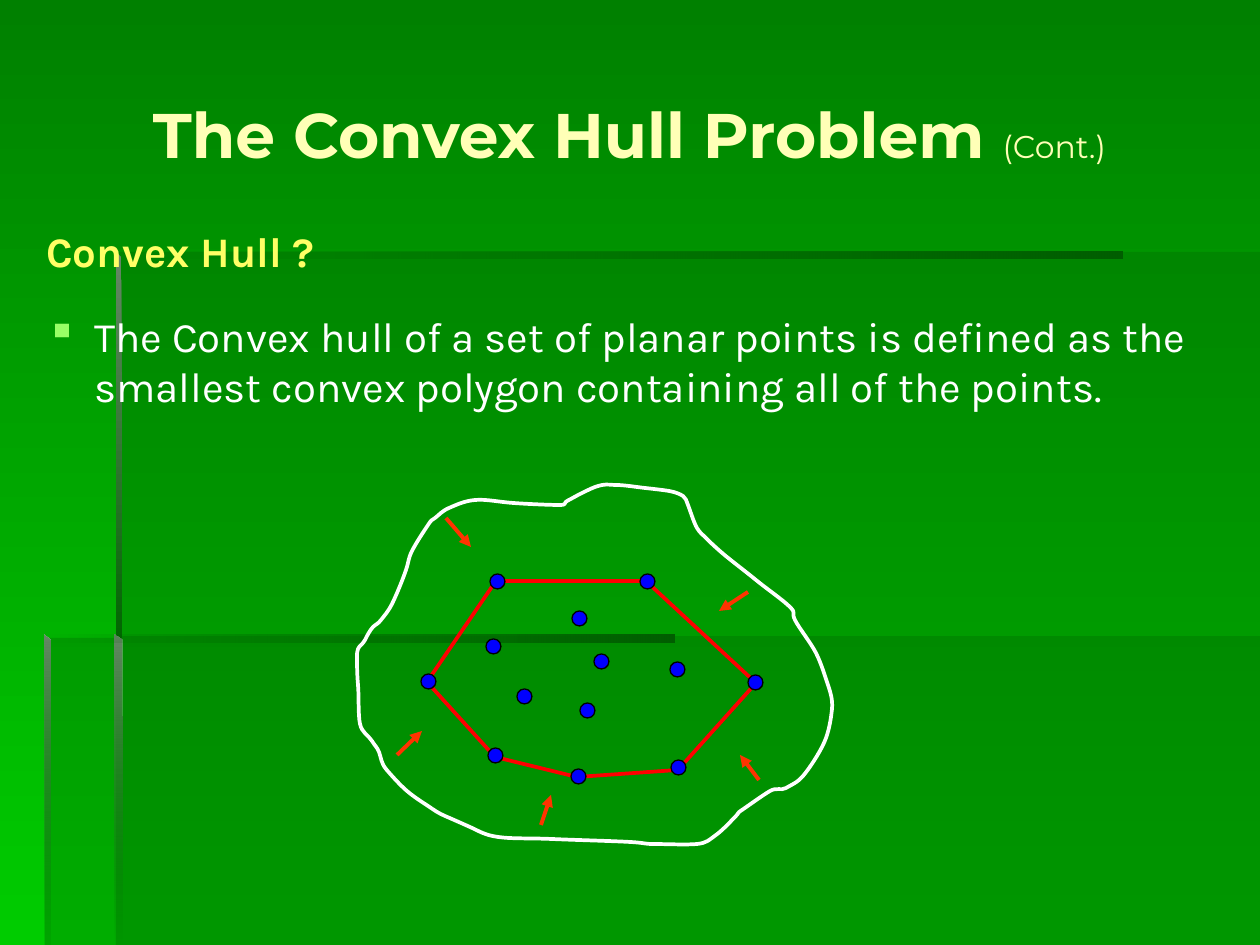
from dataclasses import dataclass

from lxml import etree
from pptx import Presentation
from pptx.dml.color import RGBColor
from pptx.enum.shapes import MSO_CONNECTOR, MSO_SHAPE
from pptx.enum.text import MSO_ANCHOR, PP_ALIGN
from pptx.oxml.ns import qn
from pptx.util import Emu, Pt

PX = 914400 / 126
WIDTH, HEIGHT = 1260, 945
STRAIGHT, ELLIPSE = MSO_CONNECTOR.STRAIGHT, MSO_SHAPE.OVAL
TOP, MIDDLE = MSO_ANCHOR.TOP, MSO_ANCHOR.MIDDLE
LEFT, CENTER = PP_ALIGN.LEFT, PP_ALIGN.CENTER

GREEN = RGBColor(0x00, 0x80, 0x00)
BRIGHT_GREEN = RGBColor(0x00, 0xCC, 0x00)
SHADE = RGBColor(0x00, 0x66, 0x00)
DEEP_SHADE = RGBColor(0x00, 0x5E, 0x00)
EDGE_LIGHT = RGBColor(0x66, 0x86, 0x66)
CREAM = RGBColor(0xFF, 0xFF, 0xB7)
YELLOW = RGBColor(0xFF, 0xFF, 0x66)
WHITE = RGBColor(0xFF, 0xFF, 0xFF)
BLACK = RGBColor(0x00, 0x00, 0x00)
RED = RGBColor(0xFF, 0x00, 0x00)
ORANGE = RGBColor(0xFF, 0x33, 0x00)
BLUE = RGBColor(0x00, 0x00, 0xFF)
BULLET_COLOR = "99FF66"

RIGHTWARD, DOWNWARD = 0, 270
DOT_SIZE = 15

Point = tuple[int, int]


@dataclass(frozen=True)
class Bevel:
    outline: list[Point]
    start: RGBColor
    end: RGBColor
    opacities: tuple[int, int]
    angle: int


@dataclass(frozen=True)
class Run:
    text: str
    size: int
    color: RGBColor
    font: str
    bold: bool = False


def box(left: int, top: int, right: int, bottom: int) -> list[Point]:
    return [(left, top), (left, bottom), (right, bottom), (right, top)]


PANELS = [
    box(116, 636, WIDTH, HEIGHT),
    [(118, 638), (45, 638), (45, HEIGHT), (WIDTH, HEIGHT), (WIDTH, 252), (118, 252)],
]
BEVELS = [
    Bevel(box(116, 252, 1123, 259), SHADE, DEEP_SHADE, (0, 100), RIGHTWARD),
    Bevel([(116, 252), (116, 643), (122, 643), (121, 257)],
          EDGE_LIGHT, SHADE, (100, 100), DOWNWARD),
    Bevel([(115, HEIGHT), (122, HEIGHT), (121, 640), (115, 635)],
          EDGE_LIGHT, SHADE, (100, 0), DOWNWARD),
    Bevel(box(44, 635, 674, 642), SHADE, DEEP_SHADE, (0, 100), RIGHTWARD),
    Bevel([(44, 635), (44, HEIGHT), (50, HEIGHT), (50, 641)],
          EDGE_LIGHT, SHADE, (100, 10), DOWNWARD),
]
HULL = [(427, 682), (496, 581), (646, 581), (756, 683), (678, 770), (577, 777), (495, 757)]
PLANAR_POINTS = [
    (497, 581), (428, 681), (493, 646), (579, 618), (647, 581), (601, 661), (524, 696),
    (495, 755), (587, 710), (677, 669), (578, 776), (678, 767), (755, 682),
]
RUBBER_BAND = [
    (449, 508), (435, 518), (428, 525), (412, 551), (406, 570), (392, 604), (381, 620),
    (373, 627), (365, 640), (358, 649), (357, 658), (358, 685), (360, 724), (372, 741),
    (379, 752), (386, 769), (407, 791), (428, 806), (445, 816), (470, 827), (498, 837),
    (552, 839), (630, 842), (654, 844), (697, 844), (716, 835), (736, 816), (742, 810),
    (770, 791), (786, 788), (803, 776), (824, 743), (832, 709), (827, 682), (816, 653),
    (795, 620), (790, 607), (756, 580), (721, 552), (706, 538), (697, 528), (688, 505),
    (683, 496), (669, 491), (645, 488), (617, 485), (602, 485), (582, 493), (567, 501),
    (559, 505), (513, 503), (475, 500),
]
SHRINK_ARROWS = [
    ((446, 518), (471, 547)), ((748, 592), (719, 611)), ((759, 780), (740, 755)),
    ((541, 825), (551, 795)), ((397, 755), (422, 731)),
]


def px(length: int) -> Emu:
    return Emu(round(length * PX))


def fill_gradient(fill, start: RGBColor, end: RGBColor, angle: int) -> None:
    fill.gradient()
    fill.gradient_angle = angle
    for stop, color in zip(fill.gradient_stops, (start, end)):
        stop.color.rgb = color


def set_opacities(shape, opacities: tuple[int, ...]) -> None:
    """Apply one opacity percentage to each fill colour, in order."""
    colors = list(shape._element.spPr.iter(qn("a:srgbClr")))
    for color, opacity in zip(colors, opacities):
        etree.SubElement(color, qn("a:alpha"), val=str(opacity * 1000))


def add_outline(slide, outline: list[Point]):
    builder = slide.shapes.build_freeform(*outline[0], scale=PX)
    builder.add_line_segments(outline[1:] + outline[:1], close=True)
    shape = builder.convert_to_shape()
    shape.shadow.inherit = False
    shape.line.fill.background()
    return shape


def add_loop(slide, outline: list[Point], color: RGBColor):
    loop = add_outline(slide, outline)
    loop.fill.background()
    loop.line.color.rgb = color
    loop.line.width = Pt(2.13)
    return loop


def round_corners(loop, outline: list[Point]) -> None:
    """Turn each side into a Bezier curve of a closed Catmull-Rom spline."""
    left, top = (min(axis) for axis in zip(*outline))
    count = len(outline)
    for i, side in enumerate(list(loop._element.spPr.iter(qn("a:lnTo")))):
        before, start, end, after = (outline[(i + k) % count] for k in (-1, 0, 1, 2))
        leaving = [s + (e - b) / 6 for b, s, e in zip(before, start, end)]
        arriving = [e - (a - s) / 6 for s, e, a in zip(start, end, after)]
        curve = etree.Element(qn("a:cubicBezTo"))
        for x, y in (leaving, arriving, end):
            etree.SubElement(curve, qn("a:pt"), x=str(round(x - left)), y=str(round(y - top)))
        side.getparent().replace(side, curve)


def add_dot(slide, center: Point) -> None:
    x, y = (c - DOT_SIZE // 2 for c in center)
    dot = slide.shapes.add_shape(ELLIPSE, px(x), px(y), px(DOT_SIZE), px(DOT_SIZE))
    dot.shadow.inherit = False
    dot.fill.solid()
    dot.fill.fore_color.rgb = BLUE
    dot.line.color.rgb = BLACK
    dot.line.width = Pt(0)


def add_arrow(slide, start: Point, end: Point) -> None:
    arrow = slide.shapes.add_connector(STRAIGHT, *map(px, start + end))
    arrow.line.color.rgb = ORANGE
    arrow.line.width = Pt(2.25)
    etree.SubElement(arrow.line._get_or_add_ln(), qn("a:tailEnd"), type="triangle")
    etree.SubElement(arrow._element.spPr, qn("a:effectLst"))


def add_text(slide, frame: tuple[int, int, int, int], runs: list[Run],
             align=LEFT, anchor=TOP, bullet: str = "") -> None:
    text_frame = slide.shapes.add_textbox(*map(px, frame)).text_frame
    text_frame.word_wrap = True
    text_frame.vertical_anchor = anchor
    paragraph = text_frame.paragraphs[0]
    paragraph.alignment = align
    if bullet:
        properties = paragraph._p.get_or_add_pPr()
        properties.set("marL", str(px(48)))
        properties.set("indent", str(-px(48)))
        bullet_color = etree.SubElement(properties, qn("a:buClr"))
        etree.SubElement(bullet_color, qn("a:srgbClr"), val=BULLET_COLOR)
        etree.SubElement(properties, qn("a:buChar"), char=bullet)
    for part in runs:
        run = paragraph.add_run()
        run.text = part.text
        run.font.size = Pt(part.size)
        run.font.name = part.font
        run.font.bold = part.bold
        run.font.color.rgb = part.color


def main() -> None:
    prs = Presentation()
    prs.slide_width, prs.slide_height = px(WIDTH), px(HEIGHT)
    slide = prs.slides.add_slide(prs.slide_layouts[6])
    fill_gradient(slide.background.fill, GREEN, BRIGHT_GREEN, DOWNWARD)

    for outline in PANELS:
        panel = add_outline(slide, outline)
        panel.fill.solid()
        panel.fill.fore_color.rgb = SHADE
        set_opacities(panel, (30,))
    for bevel in BEVELS:
        strip = add_outline(slide, bevel.outline)
        fill_gradient(strip.fill, bevel.start, bevel.end, bevel.angle)
        set_opacities(strip, bevel.opacities)

    add_loop(slide, HULL, RED)
    add_text(slide, (52, 34, 1155, 198),
             [Run("The Convex Hull Problem ", 36, CREAM, "Montserrat", True),
              Run("(Cont.)", 18, CREAM, "Montserrat")], CENTER, MIDDLE)
    add_text(slide, (34, 219, 809, 63), [Run("Convex Hull ?", 24, YELLOW, "Karla", True)])
    add_text(slide, (34, 304, 1184, 79),
             [Run("The Convex hull of a set of planar points is defined as the smallest "
                  "convex polygon containing all of the points.", 24, WHITE, "Karla")],
             bullet="▪")
    for center in PLANAR_POINTS:
        add_dot(slide, center)
    round_corners(add_loop(slide, RUBBER_BAND, WHITE), RUBBER_BAND)
    for start, end in SHRINK_ARROWS:
        add_arrow(slide, start, end)
    prs.save("out.pptx")


if __name__ == "__main__":
    main()
